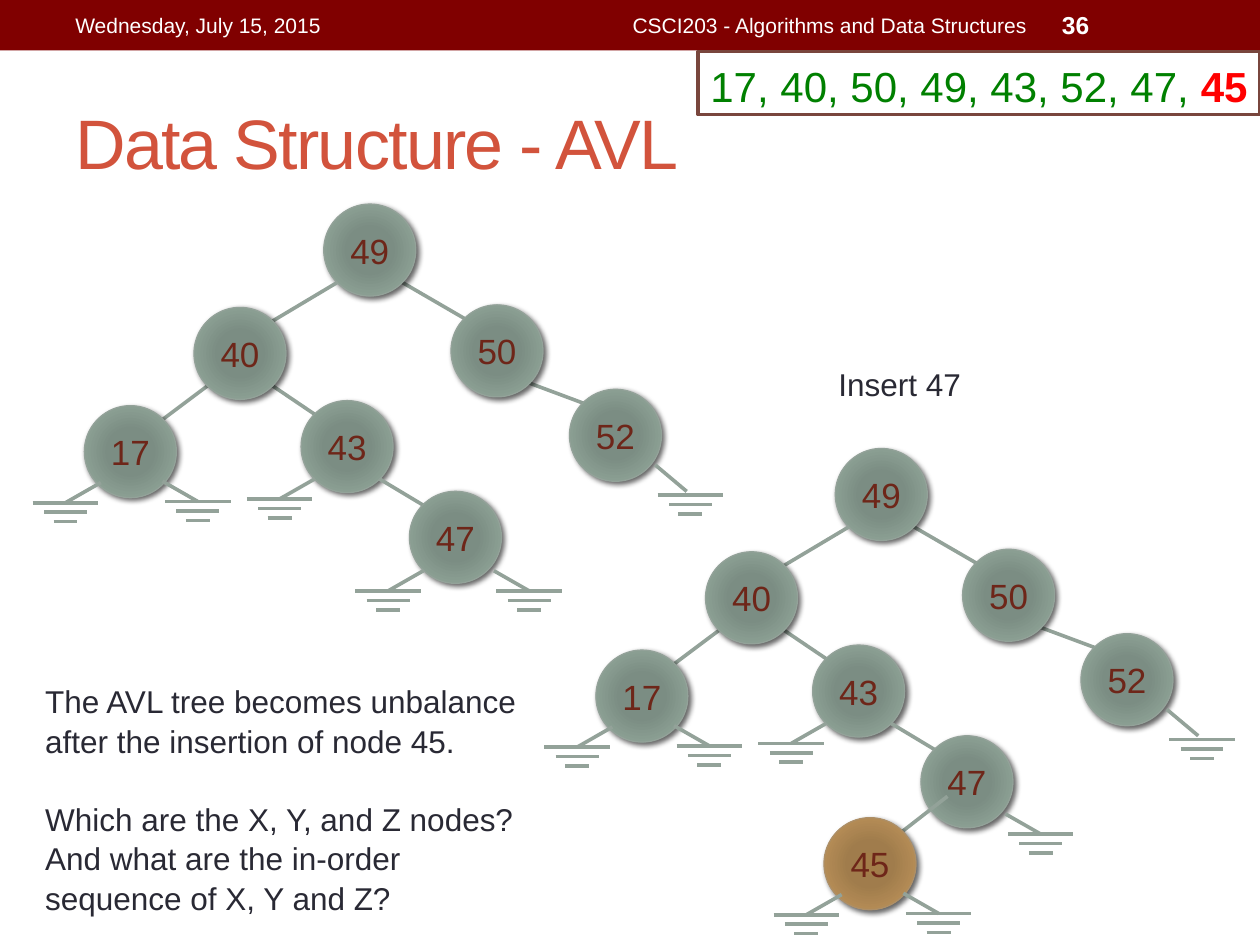
from collections import namedtuple

from lxml import etree
from pptx import Presentation
from pptx.dml.color import RGBColor
from pptx.enum.shapes import MSO_CONNECTOR, MSO_SHAPE
from pptx.enum.text import MSO_ANCHOR, PP_ALIGN
from pptx.oxml import parse_xml
from pptx.oxml.ns import nsdecls, qn
from pptx.util import Inches, Pt

STRAIGHT = MSO_CONNECTOR.STRAIGHT
OVAL, RECTANGLE = MSO_SHAPE.OVAL, MSO_SHAPE.RECTANGLE
TOP, MIDDLE = MSO_ANCHOR.TOP, MSO_ANCHOR.MIDDLE
LEFT, CENTER, RIGHT = PP_ALIGN.LEFT, PP_ALIGN.CENTER, PP_ALIGN.RIGHT

WHITE = RGBColor(0xFF, 0xFF, 0xFF)
MAROON = RGBColor(0x80, 0x00, 0x00)
ORANGE = RGBColor(0xD2, 0x53, 0x3C)
BROWN = RGBColor(0x79, 0x46, 0x3D)
GREEN = RGBColor(0x00, 0x80, 0x00)
RED = RGBColor(0xFF, 0x00, 0x00)
INK = RGBColor(0x29, 0x29, 0x34)
RUST = RGBColor(0x6E, 0x26, 0x19)
SAGE = RGBColor(0x93, 0xA2, 0x99)
TAN = RGBColor(0xAD, 0x8F, 0x67)

SAGE_STOPS = {0: "7B8E82", 34: "7B8D83", 70: "8A9E92", 100: SAGE}
TAN_STOPS = {0: "A37D49", 34: "A07C4C", 70: "B38B55", 100: TAN}

FONT = "Arial"
CELL = Inches(0.1)
NODE_SIZE = 7.3
NEAR, FAR = 1.1, 6.2
BAR_WIDTHS = (5.2, 3.4, 1.9)
BAR_GAP = 0.75
LINE_WIDTH = Pt(2.08)
LINE_SPACING = 1.05

Node = namedtuple("Node", "column row parent grounds leave", defaults=(None, (), None))
Ground = namedtuple("Ground", "column row side run drop gap", defaults=(2.8, 1.6, 0))

LEFT_TREE = {
    "17": Node(4.1, 16, "40", (Ground(6.2, 6, 1), Ground(1.3, 6.1, -1))),
    "43": Node(21.3, 15.6, "40", (Ground(1.1, 6.2, -1),)),
    "52": Node(42.6, 14.7, "50", (Ground(6.8, 6, 1, 2.5, 2.1, 0.3),)),
    "50": Node(33.2, 8, "49"),
    "49": Node(23.1, 0),
    "40": Node(12.8, 8.2, "49"),
    "47": Node(29.9, 22.8, "43", (Ground(6.7, 6.3, 1), Ground(1.1, 6.3, -1))),
}
RIGHT_TREE = {
    **LEFT_TREE,
    "47": LEFT_TREE["47"]._replace(grounds=(Ground(6.7, 6.2, 1),)),
    "45": Node(22.2, 29.3, "47", (Ground(6.3, 6, 1), Ground(1.4, 6.1, -1)), (2.1, 4.8)),
}


def cells(*lengths):
    return [round(CELL * length) for length in lengths]


def add_run(paragraph, text, size, color, bold=False):
    run = paragraph.add_run()
    run.text = text
    run.font.name = FONT
    run.font.size = Pt(size)
    run.font.bold = bold
    run.font.color.rgb = color
    return run


def add_text(slide, box, text, size, color, align=LEFT, anchor=MIDDLE, bold=False):
    shape = slide.shapes.add_textbox(*cells(*box))
    frame = shape.text_frame
    frame.word_wrap = True
    frame.vertical_anchor = anchor
    paragraph = frame.paragraphs[0]
    paragraph.alignment = align
    if anchor == TOP:
        paragraph.line_spacing = LINE_SPACING
    return frame, add_run(paragraph, text, size, color, bold)


def add_line(shapes, start, end):
    line = shapes.add_connector(STRAIGHT, *cells(*start, *end))
    line.line.color.rgb = SAGE
    line.line.width = LINE_WIDTH
    etree.SubElement(line._element.spPr, qn("a:effectLst"))


def fill_radial(shape, stops):
    shape.fill.solid()
    solid = shape._element.spPr.find(qn("a:solidFill"))
    marks = "".join(
        f'<a:gs pos="{share * 1000}"><a:srgbClr val="{color}"/></a:gs>'
        for share, color in stops.items()
    )
    gradient = parse_xml(
        f'<a:gradFill {nsdecls("a")} rotWithShape="1"><a:gsLst>{marks}</a:gsLst>'
        '<a:path path="circle"><a:fillToRect l="100000" t="100000" r="100000" b="100000"/>'
        "</a:path></a:gradFill>"
    )
    solid.getparent().replace(solid, gradient)


def add_shadow(shape):
    shape.shadow.inherit = False
    shape._element.spPr.find(qn("a:effectLst")).append(parse_xml(
        f'<a:outerShdw {nsdecls("a")} blurRad="38100" dist="25400" dir="2700000" '
        'rotWithShape="0"><a:srgbClr val="000000"><a:alpha val="60000"/></a:srgbClr>'
        "</a:outerShdw>"
    ))


def add_node(shapes, column, row, label, line_color, stops):
    shape = shapes.add_shape(OVAL, *cells(column, row, NODE_SIZE, NODE_SIZE))
    fill_radial(shape, stops)
    shape.line.color.rgb = line_color
    shape.line.width = Pt(0.75)
    add_shadow(shape)
    frame = shape.text_frame
    frame.vertical_anchor = MIDDLE
    frame.paragraphs[0].alignment = CENTER
    add_run(frame.paragraphs[0], label, 20, RUST)


def add_ground(shapes, column, row, ground):
    start = (column + ground.column, row + ground.row)
    end = (start[0] + ground.side * ground.run, start[1] + ground.drop)
    add_line(shapes, start, end)
    middle = end[0] + ground.side * ground.gap
    for index, width in enumerate(BAR_WIDTHS):
        level = end[1] + ground.gap + index * BAR_GAP
        add_line(shapes, (middle - width / 2, level), (middle + width / 2, level))


def add_edge(shapes, left, top, parent, child):
    goes_left = child.column < parent.column
    leave = parent_corner = (NEAR if goes_left else FAR, FAR)
    leave = child.leave or parent_corner
    arrive = (FAR if goes_left else NEAR, NEAR)
    add_line(
        shapes,
        (left + parent.column + leave[0], top + parent.row + leave[1]),
        (left + child.column + arrive[0], top + child.row + arrive[1]),
    )


def add_tree(slide, left, top, nodes, inserted=None):
    shapes = slide.shapes.add_group_shape().shapes
    for label, node in nodes.items():
        if node.parent:
            add_edge(shapes, left, top, nodes[node.parent], node)
        column, row = left + node.column, top + node.row
        colors = (TAN, TAN_STOPS) if label == inserted else (SAGE, SAGE_STOPS)
        add_node(shapes, column, row, label, *colors)
        for ground in node.grounds:
            add_ground(shapes, column, row, ground)


def add_header(slide, width, height):
    band = slide.shapes.add_shape(RECTANGLE, *cells(0, 0, width, height))
    band.shadow.inherit = False
    band.fill.solid()
    band.fill.fore_color.rgb = MAROON
    band.line.fill.background()
    top, depth = 0.05 * height, 0.9 * height
    add_text(slide, (5, top, 31.7, depth), "Wednesday, July 15, 2015", 12, WHITE)
    add_text(slide, (37.5, top, 45, depth), "CSCI203 - Algorithms and Data Structures",
             12, WHITE, RIGHT)
    add_text(slide, (83.3, top, 11.7, depth), "36", 14, WHITE, bold=True)


def add_title(slide, box):
    run = add_text(slide, box, "Data Structure - AVL", 40, ORANGE)[1]
    run.font._element.set("spc", "-100")


def add_sequence(slide, box):
    shape = slide.shapes.add_shape(RECTANGLE, *cells(*box))
    shape.shadow.inherit = False
    shape.fill.solid()
    shape.fill.fore_color.rgb = WHITE
    shape.line.color.rgb = BROWN
    shape.line.width = LINE_WIDTH
    frame = shape.text_frame
    frame.word_wrap = False
    frame.vertical_anchor = TOP
    paragraph = frame.paragraphs[0]
    paragraph.alignment = LEFT
    paragraph.line_spacing = LINE_SPACING
    add_run(paragraph, "17, 40, 50, 49, 43, 52, 47, ", 24, GREEN)
    add_run(paragraph, "45", 24, RED, True)


def add_question(slide, box):
    statement = "The AVL tree becomes unbalance after the insertion of node 45."
    frame = add_text(slide, box, statement, 18, INK, anchor=TOP)[0]
    paragraph = frame.add_paragraph()
    paragraph.line_spacing = LINE_SPACING
    paragraph.space_before = Pt(21.7)
    question = ("Which are the X, Y, and Z nodes? And what are the in-order "
                "sequence of X, Y and Z?")
    add_run(paragraph, question, 18, INK)


def main():
    presentation = Presentation()
    presentation.slide_width, presentation.slide_height = cells(100, 75)
    slide = presentation.slides.add_slide(presentation.slide_layouts[6])
    add_header(slide, 100, 4)
    add_title(slide, (5, 5.8, 90, 10.8))
    add_sequence(slide, (55.4, 4.1, 44.6, 5))
    add_tree(slide, 2.6, 16.2, LEFT_TREE)
    add_text(slide, (62.9, 28.3, 17, 4), "Insert 47", 18, INK, CENTER, TOP)
    add_tree(slide, 43.2, 35.6, RIGHT_TREE, "45")
    add_question(slide, (2.6, 53.5, 40.5, 19.2))
    presentation.save("out.pptx")


if __name__ == "__main__":
    main()
